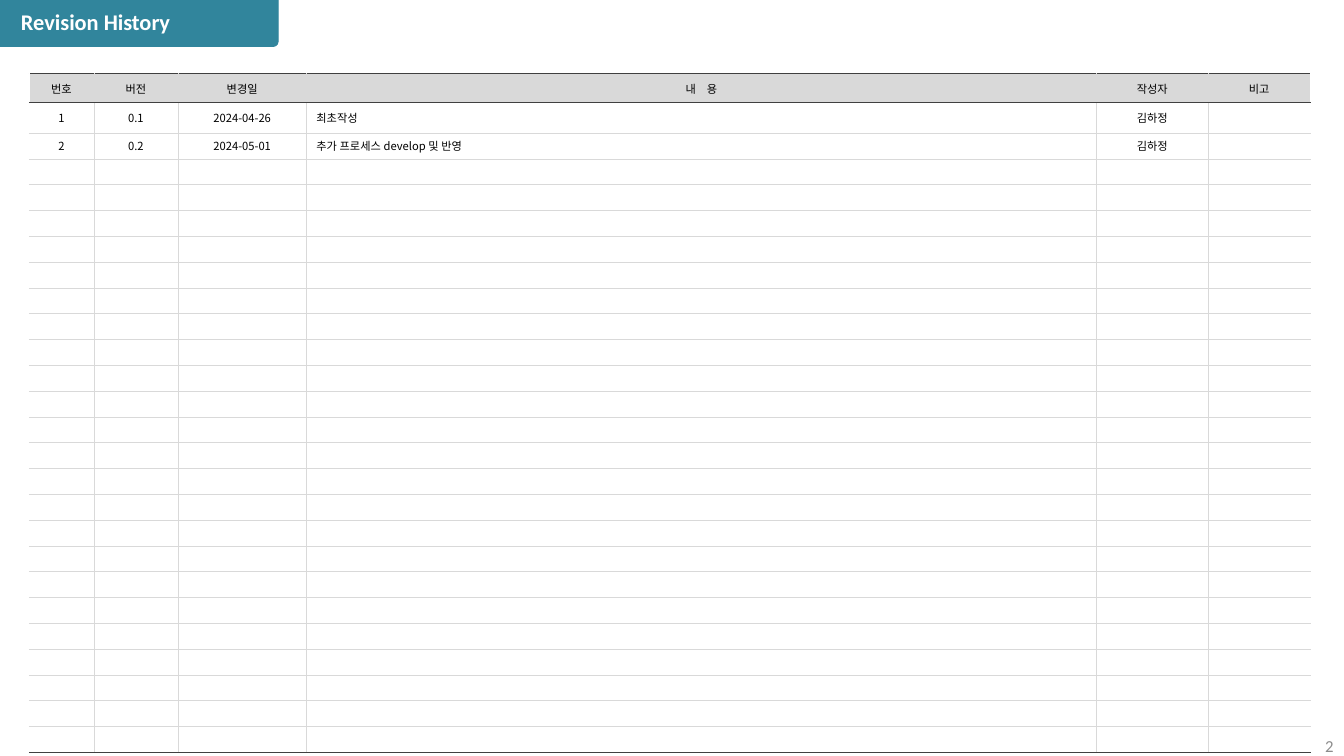
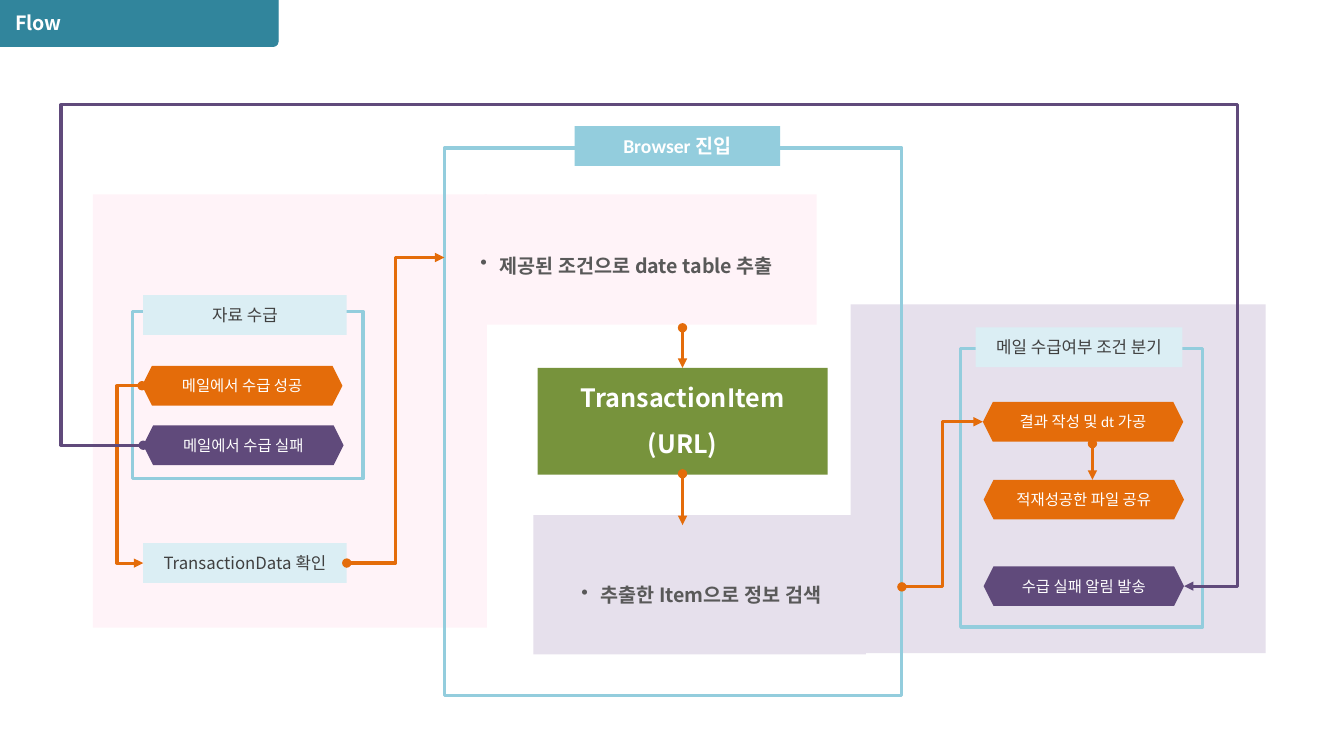
from pptx import Presentation
from pptx import util as u
from pptx.dml.color import RGBColor
from pptx.enum import shapes as s, text as t
from pptx.oxml import ns
from pptx.oxml.xmlchemy import OxmlElement

Cm, Pt = u.Cm, u.Pt
LATIN, KOREAN = "Calibri", "Noto Sans CJK KR"
WHITE = RGBColor(0xFF, 0xFF, 0xFF)
BLACK = RGBColor(0, 0, 0)
TEAL = RGBColor(0x31, 0x85, 0x9C)
SKY = RGBColor(0x93, 0xCD, 0xDD)
PALE_SKY = RGBColor(0xDB, 0xEE, 0xF4)
PINK = RGBColor(0xFF, 0xF3, 0xF8)
LAVENDER = RGBColor(0xE6, 0xE0, 0xEC)
ORANGE = RGBColor(0xE4, 0x6C, 0x0A)
PURPLE = RGBColor(0x60, 0x4A, 0x7B)
GREEN = RGBColor(0x77, 0x93, 0x3C)
DARK = RGBColor(0x40, 0x40, 0x40)
GREY = RGBColor(0x59, 0x59, 0x59)
PAGE_GREY = RGBColor(0x8C, 0x8C, 0x8C)
RULE_GREY = RGBColor(0xD9, 0xD9, 0xD9)
RECT, HEXAGON = s.MSO_SHAPE.RECTANGLE, s.MSO_SHAPE.HEXAGON
LEFT, CENTER, RIGHT = t.PP_ALIGN.LEFT, t.PP_ALIGN.CENTER, t.PP_ALIGN.RIGHT


def box(slide, preset, place, fill=None, line=None, weight=2.25):
    """Add a preset shape; place is left, top, width, height in cm."""
    shape = slide.shapes.add_shape(preset, *map(Cm, place))
    shape.shadow.inherit = False
    if fill is None:
        shape.fill.background()
    else:
        shape.fill.solid()
        shape.fill.fore_color.rgb = fill
    if line is None:
        shape.line.fill.background()
    else:
        shape.line.color.rgb = line
        shape.line.width = Pt(weight)
    return shape


def write(frame, words, size, color, font=KOREAN, bold=False, align=CENTER, spacing=None):
    """Fill a text frame, one paragraph a line, and format its runs."""
    frame.text = words
    for paragraph in frame.paragraphs:
        paragraph.alignment = align
        if spacing:
            paragraph.line_spacing = spacing
        for run in paragraph.runs:
            run.font.name, run.font.size, run.font.bold = font, Pt(size), bold
            run.font.color.rgb = color
            east_asian = OxmlElement("a:ea")
            east_asian.set("typeface", KOREAN)
            run.font._element.find(ns.qn("a:latin")).addnext(east_asian)


deck = Presentation()
deck.slide_width, deck.slide_height = Cm(33.87), Cm(19.05)

# Title band on both slides
pages = []
for title, left, top, size, font in [
    ("Revision History", 0.53, 0.3, 16, LATIN),
    ("Flow", 0.38, 0.33, 14, KOREAN),
]:
    page = deck.slides.add_slide(deck.slide_layouts[6])
    band = box(page, s.MSO_SHAPE.ROUND_1_RECTANGLE, (0, 0, 7.01, 1.17), TEAL, TEAL, 0.75)
    band.adjustments[0] = 0.11
    band.rotation = 180
    band._element.spPr.xfrm.set("flipH", "1")
    heading = page.shapes.add_textbox(Cm(left), Cm(top), Cm(6.45), Cm(0.58)).text_frame
    heading.word_wrap = True
    heading.vertical_anchor = t.MSO_ANCHOR.MIDDLE
    heading.margin_left = heading.margin_right = heading.margin_top = heading.margin_bottom = 0
    write(heading, title, size, WHITE, font, True, LEFT, 0.9)
    pages.append(page)
history, flow = pages

# Revision table
entries = [
    ("번호", "버전", "변경일", "내 용", "작성자", "비고"),
    ("1", "0.1", "2024-04-26", "최초작성", "김하정", ""),
    ("2", "0.2", "2024-05-01", "추가 프로세스 develop 및 반영", "김하정", ""),
]
widths = [1.62, 2.13, 3.23, 19.91, 2.82, 2.57]
heights = [0.74, 0.76] + [0.65] * 24
last_row, last_column = len(heights) - 1, len(widths) - 1
revisions = history.shapes.add_table(
    len(heights), len(widths), Cm(0.74), Cm(1.85), Cm(sum(widths)), Cm(sum(heights))).table
revisions.horz_banding = False
for column, width in zip(revisions.columns, widths):
    column.width = Cm(width)
for r, height in enumerate(heights):
    revisions.rows[r].height = Cm(height)
    for c in range(len(widths)):
        cell = revisions.cell(r, c)
        cell.vertical_anchor = t.MSO_ANCHOR.MIDDLE
        cell.margin_top = cell.margin_bottom = 0
        if r < len(entries) and entries[r][c]:
            write(cell.text_frame, entries[r][c], 8, BLACK, LATIN if r == 0 else KOREAN,
                  align=LEFT if r and c == 3 else CENTER)
        else:
            cell.text_frame.paragraphs[0]._p.get_or_add_endParaRPr().set("sz", "800")
        # Borders: light grid, dark rules around the header and at the foot
        edges = []
        if c > 0:
            edges.append(("a:lnL", RULE_GREY, 0.25))
        if c < last_column:
            edges.append(("a:lnR", RULE_GREY, 0.25))
        edges.append(("a:lnT", DARK, 1) if r < 2 else ("a:lnT", RULE_GREY, 0.25))
        edges.append(("a:lnB", DARK, 1) if r == 0 else
                     ("a:lnB", DARK if r == last_row else RULE_GREY, 0.25))
        for tag, color, weight in edges:
            edge = OxmlElement(tag)
            edge.set("w", str(Pt(weight)))
            paint = OxmlElement("a:solidFill")
            tone = OxmlElement("a:srgbClr")
            tone.set("val", str(color))
            paint.append(tone)
            edge.append(paint)
            cell._tc.get_or_add_tcPr().append(edge)
        cell.fill.solid()
        cell.fill.fore_color.rgb = RULE_GREY if r == 0 else WHITE
spaced_header = revisions.cell(0, 3).text_frame.paragraphs[0].runs[0]
spaced_header.font._element.set("spc", "300")

# Page number
page_number = history.shapes.add_textbox(Cm(32.13), Cm(18.54), Cm(1.73), Cm(0.51)).text_frame
page_number.word_wrap = True
page_number.vertical_anchor = t.MSO_ANCHOR.MIDDLE
write(page_number, "2", 12, PAGE_GREY, LATIN, align=RIGHT)

# Flow: tinted zones, then outlined frames
for place, color in [
    ((2.34, 4.9, 9.93, 10.92), PINK),
    ((12.22, 4.9, 8.36, 3.28), PINK),
    ((21.44, 7.67, 10.46, 8.79), LAVENDER),
    ((13.44, 12.98, 8.38, 3.51), LAVENDER),
]:
    box(flow, RECT, place, color)
for place in [(11.2, 3.73, 11.53, 13.79), (3.33, 7.85, 5.82, 4.22), (24.21, 8.79, 6.1, 7.01)]:
    box(flow, RECT, place, line=SKY)

# Frame labels and steps
steps = {}
for words, preset, left, top, width, fill, size, color, font, bold in [
    ("Browser 진입", RECT, 14.48, 3.18, 5.18, SKY, 14, WHITE, LATIN, True),
    ("자료 수급", RECT, 3.61, 7.44, 5.13, PALE_SKY, 12, DARK, LATIN, False),
    ("메일 수급여부 조건 분기", RECT, 24.59, 8.25, 5.21, PALE_SKY, 12, DARK, LATIN, False),
    ("TransactionData 확인", RECT, 3.61, 13.69, 5.13, PALE_SKY, 12, DARK, KOREAN, False),
    ("메일에서 수급 성공", HEXAGON, 3.58, 9.22, 5.05, ORANGE, 11, WHITE, LATIN, False),
    ("메일에서 수급 실패", HEXAGON, 3.61, 10.72, 5.05, PURPLE, 11, WHITE, LATIN, False),
    ("결과 작성 및 dt 가공", HEXAGON, 24.77, 10.13, 5.05, ORANGE, 11, WHITE, LATIN, False),
    ("적재성공한 파일 공유", HEXAGON, 24.79, 12.09, 5.05, ORANGE, 11, WHITE, LATIN, False),
    ("수급 실패 알림 발송", HEXAGON, 24.79, 14.27, 5.05, PURPLE, 11, WHITE, LATIN, False),
]:
    step = box(flow, preset, (left, top, width, 1), fill)
    frame = step.text_frame
    frame.margin_left = frame.margin_right = frame.margin_top = frame.margin_bottom = Cm(0.05)
    write(frame, words, size, color, font, bold)
    steps[words] = step

# Browser actions
for words, place in [
    ("제공된 조건으로 date table 추출", (11.2, 5.97, 9.19, 1.04)),
    ("추출한 Item으로 정보 검색", (12.62, 14.27, 10.11, 1.04)),
]:
    action = flow.shapes.add_textbox(*map(Cm, place))
    action.text_frame.word_wrap = True
    action.text_frame.auto_size = t.MSO_AUTO_SIZE.SHAPE_TO_FIT_TEXT
    write(action.text_frame, words, 14, GREY, bold=True, spacing=1.5)
    properties = action.text_frame.paragraphs[0]._p.get_or_add_pPr()
    properties.set("marL", str(Cm(0.48)))
    properties.set("indent", str(-Cm(0.48)))
    bullet = OxmlElement("a:buChar")
    bullet.set("char", "•")
    properties.append(bullet)
    steps[words] = action

transaction = box(flow, RECT, (13.55, 9.27, 7.31, 2.69), GREEN)
transaction.text_frame.vertical_anchor = t.MSO_ANCHOR.BOTTOM
transaction.text_frame.margin_bottom = Cm(0.41)
write(transaction.text_frame, "TransactionItem\n(URL)", 18, WHITE, bold=True, spacing=1.5)

# Straight arrows: x, from y, to y
arrows = []
for x, start_y, end_y in [(27.53, 11.18, 12.09), (17.2, 8.26, 9.27), (17.2, 11.94, 13.23)]:
    arrow = flow.shapes.add_connector(
        s.MSO_CONNECTOR.STRAIGHT, Cm(x), Cm(start_y), Cm(x), Cm(end_y))
    arrows.append((arrow, ORANGE))

# Elbow arrows: each end is step, connection site, 0 for its left or 1 for its right edge;
# turns are the x, y, x of the bends in cm
for start, end, turns, color in [
    (("TransactionData 확인", 3, 1), ("제공된 조건으로 date table 추출", 1, 0), (), ORANGE),
    (("메일에서 수급 성공", 3, 0), ("TransactionData 확인", 1, 0), (2.95,), ORANGE),
    (("추출한 Item으로 정보 검색", 3, 1), ("결과 작성 및 dt 가공", 3, 0), (), ORANGE),
    (("메일에서 수급 실패", 3, 0), ("수급 실패 알림 발송", 0, 1), (1.55, 2.64, 31.17), PURPLE),
]:
    source, target = steps[start[0]], steps[end[0]]
    x1, x2 = source.left + start[2] * source.width, target.left + end[2] * target.width
    y1, y2 = source.top + source.height // 2, target.top + target.height // 2
    arrow = flow.shapes.add_connector(s.MSO_CONNECTOR.ELBOW, x1, y1, x2, y2)
    arrow.begin_connect(source, start[1])
    arrow.end_connect(target, end[1])
    arrow.begin_x, arrow.begin_y, arrow.end_x, arrow.end_y = x1, y1, x2, y2
    geometry = arrow._element.spPr.find(ns.qn("a:prstGeom"))
    if len(turns) == 3:
        geometry.set("prst", "bentConnector5")
    for i, turn in enumerate(turns):
        first, last = (y1, y2) if i == 1 else (x1, x2)
        guide = OxmlElement("a:gd")
        guide.set("name", f"adj{i + 1}")
        guide.set("fmla", f"val {round((Cm(turn) - first) / (last - first) * 100000)}")
        geometry.find(ns.qn("a:avLst")).append(guide)
    arrows.append((arrow, color))

# Shared arrow look
for arrow, color in arrows:
    arrow.line.color.rgb = color
    arrow.line.width = Pt(2.25)
    for tag, kind in [("a:headEnd", "oval"), ("a:tailEnd", "triangle")]:
        tip = OxmlElement(tag)
        tip.set("type", kind)
        arrow.line._ln.append(tip)
    arrow._element.spPr.append(OxmlElement("a:effectLst"))

deck.save("out.pptx")
